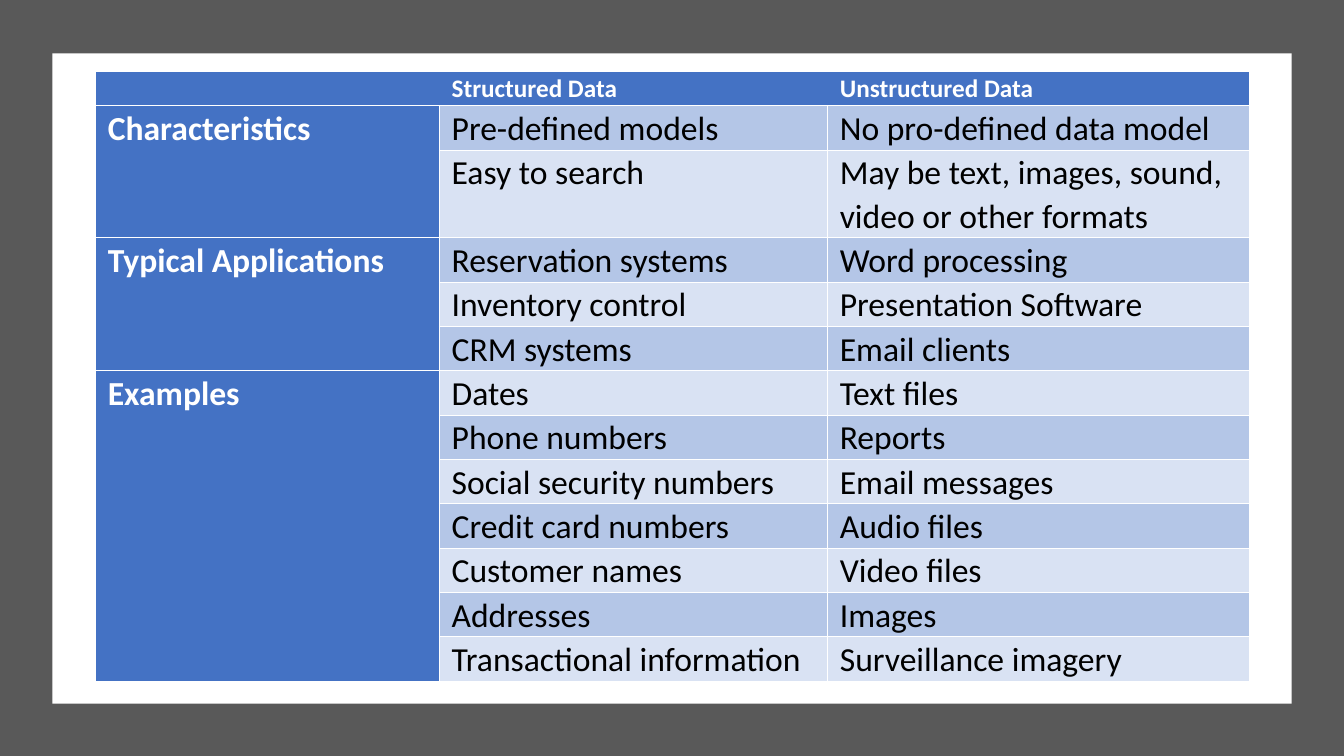
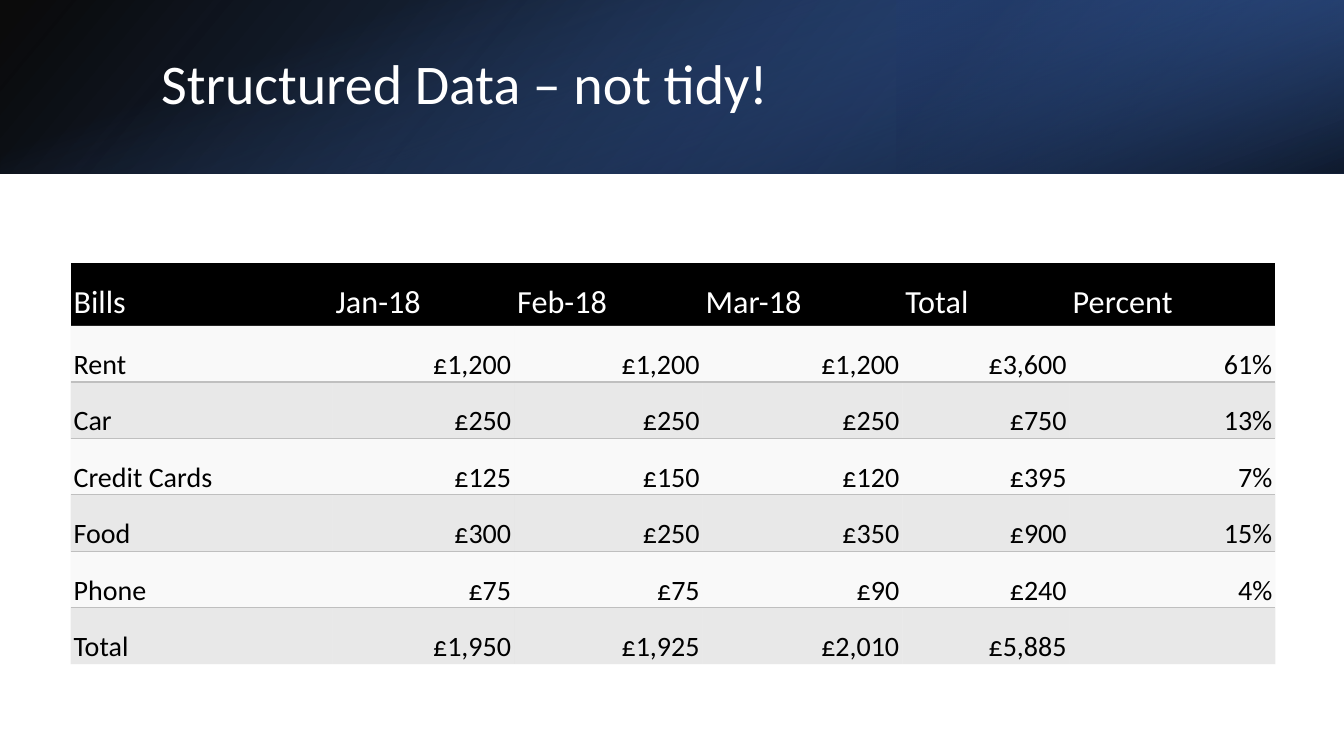
"""Build two slides that compare structured and unstructured data."""
import dataclasses
import typing

import lxml.etree
import pptx
import pptx.dml.color
import pptx.enum.shapes
import pptx.enum.text
import pptx.oxml.ns
import pptx.presentation
import pptx.shapes.autoshape
import pptx.slide
import pptx.table
import pptx.util

Inches = pptx.util.Inches
RGBColor = pptx.dml.color.RGBColor
Align = pptx.enum.text.PP_ALIGN
Anchor = pptx.enum.text.MSO_ANCHOR
qn = pptx.oxml.ns.qn

FONT = "Calibri"
SLIDE_WIDTH = 13.33
SLIDE_HEIGHT = 7.5
BAND_HEIGHT = 1.72
NO_GRID_STYLE = "{2D5ABB26-0587-4C30-8999-92F81FD0307C}"

WHITE = RGBColor(0xFF, 0xFF, 0xFF)
BLACK = RGBColor(0x00, 0x00, 0x00)
CHARCOAL = RGBColor(0x59, 0x59, 0x59)
BLUE = RGBColor(0x44, 0x72, 0xC4)
DARK_BLUE = RGBColor(0x2F, 0x55, 0x97)
NAVY = RGBColor(0x20, 0x38, 0x64)
MID_BLUE = RGBColor(0xB4, 0xC6, 0xE7)
PALE_BLUE = RGBColor(0xD9, 0xE2, 0xF3)
PALE_GREY = RGBColor(0xF2, 0xF2, 0xF2)
GREY = RGBColor(0xBF, 0xBF, 0xBF)


class Stop(typing.NamedTuple):
    """One gradient stop, with position and opacity in percent."""

    position: int
    color: RGBColor
    opacity: int = 100


class Box(typing.NamedTuple):
    """A frame in inches."""

    left: float
    top: float
    width: float
    height: float


@dataclasses.dataclass(frozen=True)
class Band:
    """A gradient layer of the title band."""

    box: Box
    stops: tuple[Stop, Stop]
    angle: int
    rotation: int = 0
    flipped: bool = False


@dataclasses.dataclass(frozen=True)
class CellStyle:
    """The look of a table cell; borders name the sides to draw."""

    fill: RGBColor
    size: int
    color: RGBColor = BLACK
    opacity: int = 100
    bold: bool = False
    align: Align = Align.LEFT
    anchor: Anchor = Anchor.TOP
    margins: tuple[float, float] = (0.12, 0)
    line_spacing: float = 1.0
    borders: str = ""
    border_color: RGBColor = WHITE


BANDS = (
    Band(Box(0, 0, SLIDE_WIDTH, BAND_HEIGHT),
         (Stop(0, BLACK, 96), Stop(100, DARK_BLUE)), 140, flipped=True),
    Band(Box(8.89, 0, 4.44, BAND_HEIGHT),
         (Stop(19, NAVY, 68), Stop(100, BLUE, 79)), 320, rotation=180, flipped=True),
    Band(Box((SLIDE_WIDTH - BAND_HEIGHT) / 2, (BAND_HEIGHT - SLIDE_WIDTH) / 2,
             BAND_HEIGHT, SLIDE_WIDTH),
         (Stop(23, BLUE, 0), Stop(99, BLACK, 74)), 340, rotation=90),
)

COMPARISON_GROUPS = {
    "Characteristics": (
        ("Pre-defined models", "No pro-defined data model"),
        ("Easy to search", "May be text, images, sound, video or other formats"),
    ),
    "Typical Applications": (
        ("Reservation systems", "Word processing"),
        ("Inventory control", "Presentation Software"),
        ("CRM systems", "Email clients"),
    ),
    "Examples": (
        ("Dates", "Text files"),
        ("Phone numbers", "Reports"),
        ("Social security numbers", "Email messages"),
        ("Credit card numbers", "Audio files"),
        ("Customer names", "Video files"),
        ("Addresses", "Images"),
        ("Transactional information", "Surveillance imagery"),
    ),
}

BILLS = (
    ("Bills", "Jan-18", "Feb-18", "Mar-18", "Total", "Percent"),
    ("Rent", "£1,200", "£1,200", "£1,200", "£3,600", "61%"),
    ("Car", "£250", "£250", "£250", "£750", "13%"),
    ("Credit Cards", "£125", "£150", "£120", "£395", "7%"),
    ("Food", "£300", "£250", "£350", "£900", "15%"),
    ("Phone", "£75", "£75", "£90", "£240", "4%"),
    ("Total", "£1,950", "£1,925", "£2,010", "£5,885", ""),
)

COMPARISON_BODY = CellStyle(MID_BLUE, 24, line_spacing=1.07, borders="LRTB")
COMPARISON_LABEL = dataclasses.replace(COMPARISON_BODY, fill=BLUE, color=WHITE, bold=True)
COMPARISON_HEADER = dataclasses.replace(COMPARISON_LABEL, size=18)
HEADER_BORDERS = ("LTB", "TB", "RTB")

BILLS_HEADER = CellStyle(BLACK, 23, WHITE, anchor=Anchor.MIDDLE, margins=(0.03, 0.16))
BILLS_LIGHT = CellStyle(PALE_GREY, 20, opacity=45, anchor=Anchor.BOTTOM,
                        margins=(0.03, 0.16), borders="B", border_color=GREY)
BILLS_DARK = dataclasses.replace(BILLS_LIGHT, fill=GREY, opacity=35, borders="T")


def add_color(parent: typing.Any, color: RGBColor, opacity: int = 100) -> None:
    """Append a colour element with its opacity in percent."""
    element = lxml.etree.SubElement(parent, qn("a:srgbClr"), val=str(color))
    if opacity < 100:
        lxml.etree.SubElement(element, qn("a:alpha"), val=str(opacity * 1000))


def add_rectangle(slide: pptx.slide.Slide, box: Box,
                  fill: RGBColor) -> pptx.shapes.autoshape.Shape:
    """Add a plain filled rectangle."""
    shape = slide.shapes.add_shape(
        pptx.enum.shapes.MSO_SHAPE.RECTANGLE, *map(Inches, box))
    shape.shadow.inherit = False
    shape.fill.solid()
    shape.fill.fore_color.rgb = fill
    shape.line.fill.background()
    return shape


def add_band(slide: pptx.slide.Slide, band: Band) -> None:
    """Add one gradient layer of the title band."""
    shape = add_rectangle(slide, band.box, BLACK)
    shape.rotation = band.rotation
    properties = shape._element.spPr
    if band.flipped:
        properties.find(qn("a:xfrm")).set("flipH", "1")
    gradient = lxml.etree.Element(qn("a:gradFill"), rotWithShape="1")
    stops = lxml.etree.SubElement(gradient, qn("a:gsLst"))
    for stop in band.stops:
        element = lxml.etree.SubElement(stops, qn("a:gs"), pos=str(stop.position * 1000))
        add_color(element, stop.color, stop.opacity)
    lxml.etree.SubElement(gradient, qn("a:lin"), ang=str(band.angle * 60000), scaled="0")
    properties.replace(properties.find(qn("a:solidFill")), gradient)


def write_text(paragraph: typing.Any, text: str, *, size: int, color: RGBColor,
               bold: bool = False, align: Align = Align.LEFT,
               line_spacing: float = 1.0) -> None:
    """Write one formatted run into a paragraph."""
    paragraph.alignment = align
    paragraph.line_spacing = line_spacing
    if not text:
        return
    run = paragraph.add_run()
    run.text = text
    run.font.name = FONT
    run.font.size = pptx.util.Pt(size)
    run.font.bold = bold
    run.font.color.rgb = color


def add_title(slide: pptx.slide.Slide, text: str) -> None:
    """Add the gradient band and its title."""
    for band in BANDS:
        add_band(slide, band)
    frame = slide.shapes.add_textbox(*map(Inches, (1.5, 0.38, 10.98, 0.96))).text_frame
    frame.word_wrap = True
    frame.vertical_anchor = Anchor.MIDDLE
    write_text(frame.paragraphs[0], text, size=40, color=WHITE, line_spacing=0.9)


def add_table(slide: pptx.slide.Slide, left: float, top: float,
              widths: typing.Sequence[float],
              heights: typing.Sequence[float]) -> pptx.table.Table:
    """Add an unstyled table with the given column widths and row heights."""
    table = slide.shapes.add_table(
        len(heights), len(widths), Inches(left), Inches(top),
        Inches(sum(widths)), Inches(sum(heights))).table
    table.first_row = table.horz_banding = False
    table._tbl.tblPr.find(qn("a:tableStyleId")).text = NO_GRID_STYLE
    for column, width in zip(table.columns, widths):
        column.width = Inches(width)
    for row, height in zip(table.rows, heights):
        row.height = Inches(height)
    return table


def fill_cell(cell: typing.Any, text: str, style: CellStyle) -> None:
    """Write a cell and give it its fill, margins and borders."""
    side, top = style.margins
    cell.margin_left = cell.margin_right = Inches(side)
    cell.margin_top, cell.margin_bottom = Inches(top), Inches(0)
    cell.vertical_anchor = style.anchor
    write_text(cell.text_frame.paragraphs[0], text, size=style.size, color=style.color,
               bold=style.bold, align=style.align, line_spacing=style.line_spacing)
    properties = cell._tc.get_or_add_tcPr()
    for border in style.borders:
        line = lxml.etree.SubElement(properties, qn(f"a:ln{border}"), w="12700")
        add_color(lxml.etree.SubElement(line, qn("a:solidFill")), style.border_color)
    add_color(lxml.etree.SubElement(properties, qn("a:solidFill")),
              style.fill, style.opacity)


def build_comparison(slide: pptx.slide.Slide) -> None:
    """Draw the comparison of structured and unstructured data."""
    add_rectangle(slide, Box(0, 0, SLIDE_WIDTH, SLIDE_HEIGHT), CHARCOAL)
    add_rectangle(slide, Box(0.52, 0.53, 12.29, 6.45), WHITE)
    table = add_table(slide, 0.95, 0.71, (3.41, 3.85, 4.18),
                      (0.34, 0.44, 0.87) + (0.44,) * 10)
    headings = ("", "Structured Data", "Unstructured Data")
    for column, (heading, borders) in enumerate(zip(headings, HEADER_BORDERS)):
        fill_cell(table.cell(0, column), heading,
                  dataclasses.replace(COMPARISON_HEADER, borders=borders))
    row = 1
    for label, pairs in COMPARISON_GROUPS.items():
        first_row = row
        for pair in pairs:
            fill_cell(table.cell(row, 0), label if row == first_row else "",
                      COMPARISON_LABEL)
            style = dataclasses.replace(
                COMPARISON_BODY, fill=MID_BLUE if row % 2 else PALE_BLUE)
            for column, text in enumerate(pair, start=1):
                fill_cell(table.cell(row, column), text, style)
            row += 1
        table.cell(first_row, 0).merge(table.cell(row - 1, 0))


def build_bills(slide: pptx.slide.Slide) -> None:
    """Draw the table of monthly bills."""
    add_title(slide, "Structured Data – not tidy!")
    table = add_table(slide, 0.7, 2.61, (2.6, 1.8, 1.87, 1.98, 1.66, 2.04),
                      (0.62,) + (0.56,) * 6)
    for row, values in enumerate(BILLS):
        style = BILLS_HEADER if row == 0 else BILLS_LIGHT if row % 2 else BILLS_DARK
        for column, value in enumerate(values):
            align = Align.RIGHT if row and column else Align.LEFT
            fill_cell(table.cell(row, column), value,
                      dataclasses.replace(style, align=align))


def main() -> None:
    """Build and save the presentation."""
    presentation = pptx.Presentation()
    presentation.slide_width = Inches(SLIDE_WIDTH)
    presentation.slide_height = Inches(SLIDE_HEIGHT)
    for build in (build_comparison, build_bills):
        build(presentation.slides.add_slide(presentation.slide_layouts[6]))
    presentation.save("out.pptx")


if __name__ == "__main__":
    main()
